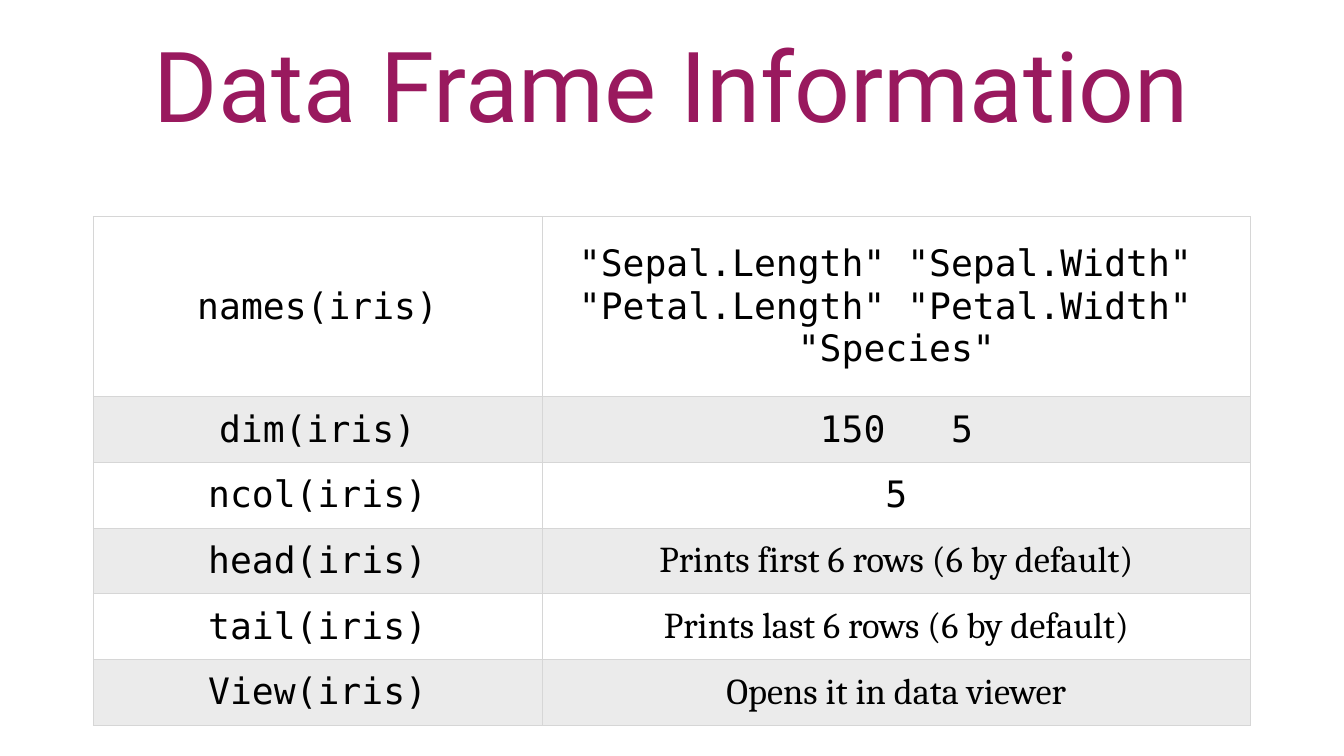
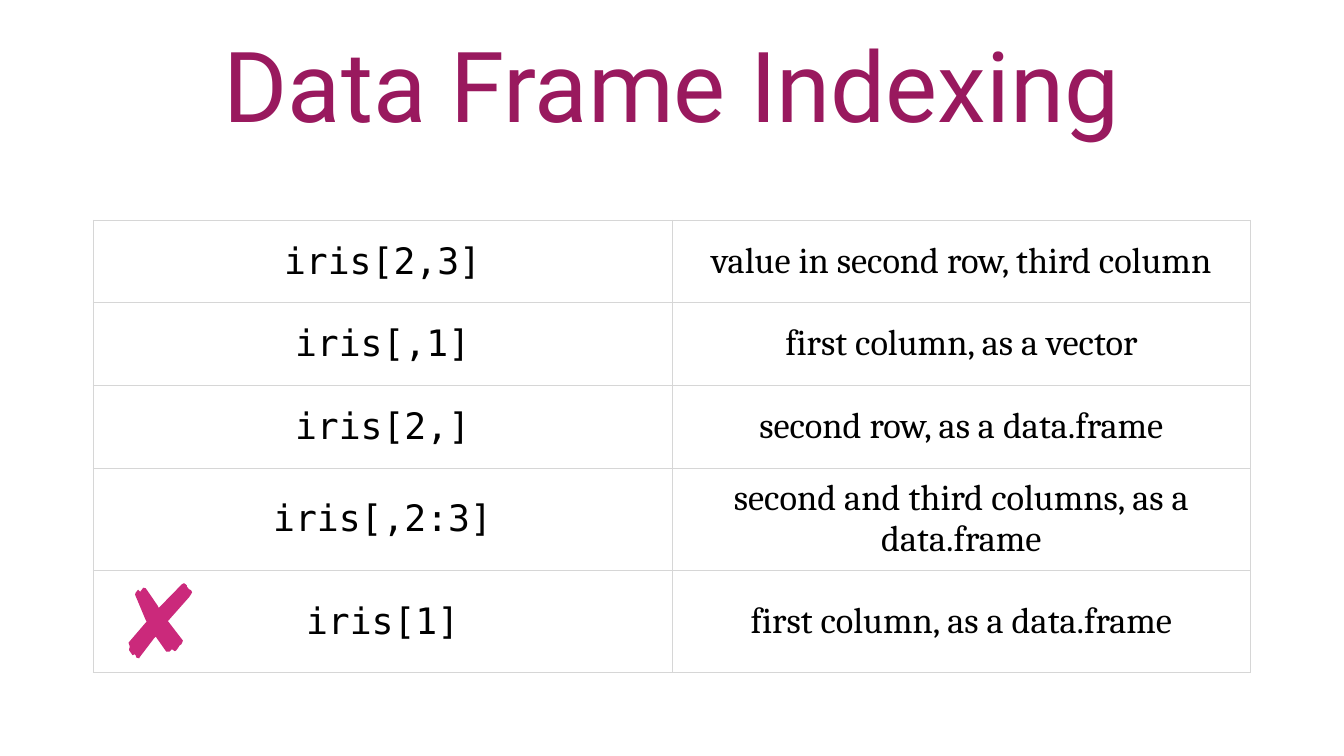
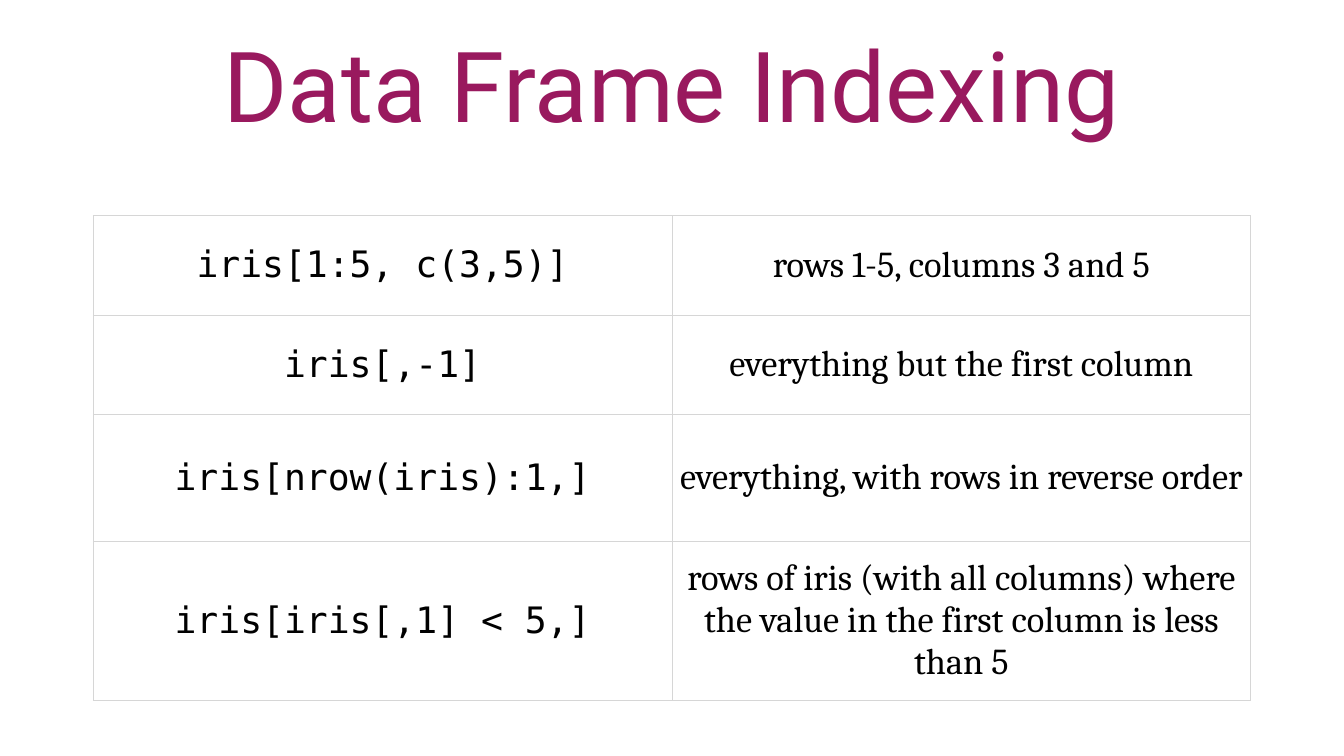
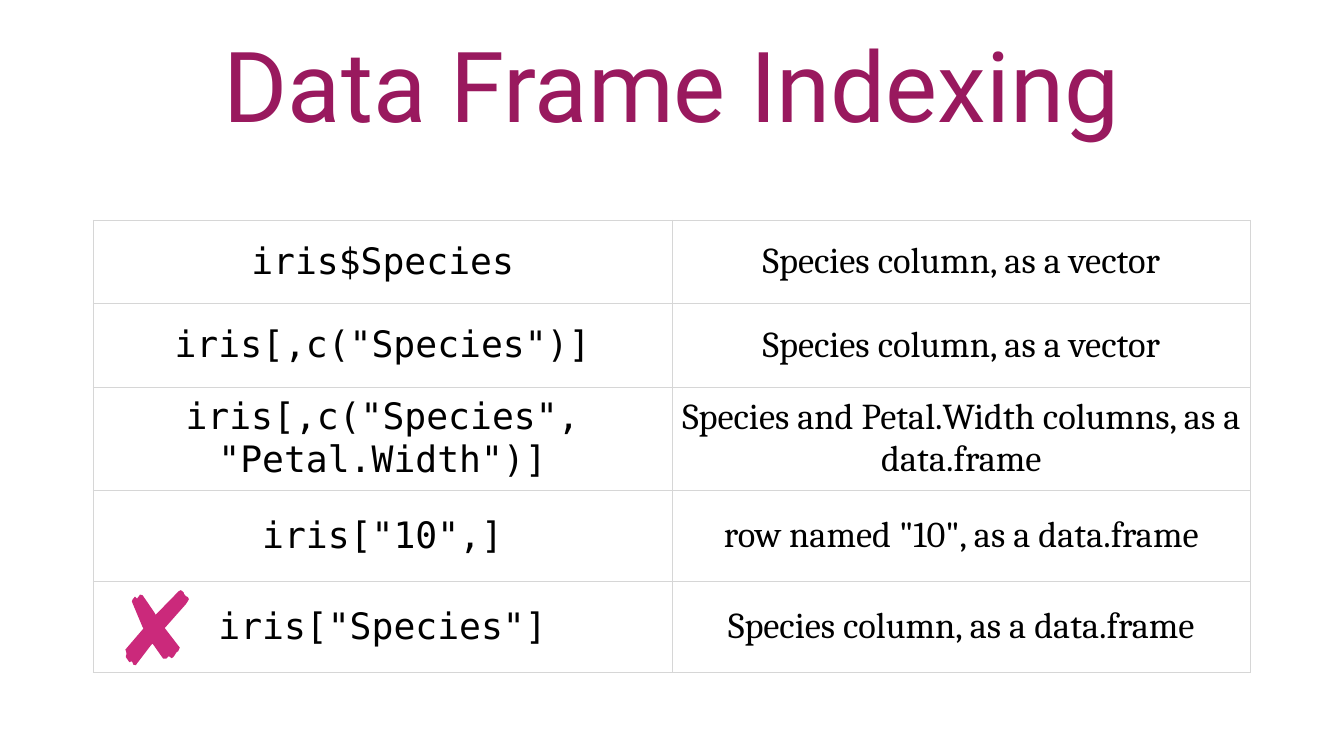
from lxml.etree import SubElement
from pptx import Presentation
from pptx.dml.color import RGBColor
from pptx.enum.text import MSO_ANCHOR as Anchor, MSO_AUTO_SIZE as AutoSize, PP_ALIGN as Align
from pptx.oxml.ns import qn
from pptx.util import Cm, Pt

TITLE_COLOR, TEXT_COLOR = "99195E", "000000"
BAND_COLOR, BORDER_COLOR, CROSS_COLOR = "EBEBEB", "D6D6D6", "CB297B"
TITLE_FONT, CODE_FONT, PROSE_FONT = "Roboto", "DejaVu Sans Mono", "Cambria"
LEFT, WIDTH = 4.7, 58.34
INSET = Cm(0.14)
EVEN_COLUMNS = (WIDTH / 2, WIDTH / 2)
CROSS_UNIT = Cm(2.54) / 100
CROSS_OUTLINE = [
    (110, 0), (106, 2), (63, 46), (60, 49), (58, 45), (41, 20), (34, 10), (29, 9),
    (27, 12), (23, 17), (19, 13), (14, 19), (13, 23), (34, 73), (36, 76), (0, 118),
    (2, 124), (2, 128), (1, 131), (1, 133), (8, 143), (12, 141), (14, 143), (16, 148),
    (21, 149), (22, 147), (51, 109), (54, 106), (56, 109), (75, 136), (81, 136), (86, 131),
    (92, 135), (95, 133), (98, 129), (101, 124), (105, 121), (108, 114), (78, 75), (81, 72),
    (120, 28), (124, 22), (126, 18), (124, 14), (120, 12), (116, 7), (116, 5), (113, 2),
]

INFORMATION_ROWS = [
    (9.07, "names(iris)",
     '"Sepal.Length" "Sepal.Width"  "Petal.Length" "Petal.Width"  "Species"'),
    (3.31, "dim(iris)", "150   5"),
    (3.31, "ncol(iris)", "5"),
    (3.31, "head(iris)", "Prints first 6 rows (6 by default)"),
    (3.31, "tail(iris)", "Prints last 6 rows (6 by default)"),
    (3.31, "View(iris)", "Opens it in data viewer"),
]
POSITION_ROWS = [
    (4.16, "iris[2,3]", "value in second row, third column"),
    (4.16, "iris[,1]", "first column, as a vector"),
    (4.16, "iris[2,]", "second row, as a data.frame"),
    (5.16, "iris[,2:3]", "second and third columns, as a data.frame"),
    (5.16, "iris[1]", "first column, as a data.frame"),
]
SELECTION_ROWS = [
    (5, "iris[1:5, c(3,5)]", "rows 1-5, columns 3 and 5"),
    (5, "iris[,-1]", "everything but the first column"),
    (6.4, "iris[nrow(iris):1,]", "everything, with rows in reverse order"),
    (8.03, "iris[iris[,1] < 5,]",
     "rows of iris (with all columns) where the value in the first column is less than 5"),
]
NAME_ROWS = [
    (4.2, "iris$Species", "Species column, as a vector"),
    (4.2, 'iris[,c("Species")]', "Species column, as a vector"),
    (5.2, 'iris[,c("Species", "Petal.Width")]',
     "Species and Petal.Width columns, as a data.frame"),
    (4.6, 'iris["10",]', 'row named "10", as a data.frame'),
    (4.6, 'iris["Species"]', "Species column, as a data.frame"),
]


def color(hex_string):
    """Turn a hex string into a colour."""
    return RGBColor.from_string(hex_string)


def write_text(text_frame, text, font=PROSE_FONT, size=52, fill=TEXT_COLOR):
    """Write one centred paragraph in the given format."""
    paragraph = text_frame.paragraphs[0]
    paragraph.alignment = Align.CENTER
    run = paragraph.add_run()
    run.text = text
    run.font.name = font
    run.font.size = Pt(size)
    run.font.color.rgb = color(fill)


def set_insets(box):
    """Give a text frame or a cell the shared margins."""
    box.margin_left = box.margin_right = box.margin_top = box.margin_bottom = INSET


def add_titled_slide(presentation, title_text):
    """Add a slide with the shared title style."""
    slide = presentation.slides.add_slide(presentation.slide_layouts[5])
    title = slide.shapes.title
    title.left, title.top, title.width, title.height = Cm(LEFT), Cm(1), Cm(WIDTH), Cm(6.35)
    text_frame = title.text_frame
    text_frame.auto_size = AutoSize.NONE
    text_frame.word_wrap = True
    text_frame.vertical_anchor = Anchor.MIDDLE
    set_insets(text_frame)
    write_text(text_frame, title_text, font=TITLE_FONT, size=140, fill=TITLE_COLOR)
    return slide


def add_borders(cell):
    """Draw a thin line on every side of a cell."""
    properties = cell._tc.get_or_add_tcPr()
    for position, side in enumerate(("a:lnL", "a:lnR", "a:lnT", "a:lnB")):
        line = SubElement(properties, qn(side), w=str(Pt(1)))
        solid = SubElement(line, qn("a:solidFill"))
        SubElement(solid, qn("a:srgbClr"), val=BORDER_COLOR)
        properties.insert(position, line)


def format_cell(cell, text, font, banded):
    """Fill in one table cell."""
    cell.vertical_anchor = Anchor.MIDDLE
    set_insets(cell)
    if banded:
        cell.fill.solid()
        cell.fill.fore_color.rgb = color(BAND_COLOR)
    else:
        cell.fill.background()
    add_borders(cell)
    write_text(cell.text_frame, text, font=font)


def add_code_table(slide, top, rows, columns=EVEN_COLUMNS, output_rows=0, banded=False):
    """Add a table of code and meaning, with code output in the first output_rows."""
    height = sum(row[0] for row in rows)
    frame = slide.shapes.add_table(len(rows), 2, Cm(LEFT), Cm(top), Cm(WIDTH), Cm(height))
    table = frame.table
    table.first_row = table.horz_banding = False
    for column, width in zip(table.columns, columns):
        column.width = Cm(width)
    for index, (row_height, code, meaning) in enumerate(rows):
        table.rows[index].height = Cm(row_height)
        shaded = banded and index % 2 == 1
        meaning_font = CODE_FONT if index < output_rows else PROSE_FONT
        format_cell(table.cell(index, 0), code, CODE_FONT, shaded)
        format_cell(table.cell(index, 1), meaning, meaning_font, shaded)


def add_cross(slide, left, top):
    """Add the brushed cross that marks a row."""
    builder = slide.shapes.build_freeform(*CROSS_OUTLINE[0], scale=CROSS_UNIT)
    builder.add_line_segments(CROSS_OUTLINE[1:], close=True)
    cross = builder.convert_to_shape(Cm(left), Cm(top))
    cross.shadow.inherit = False
    cross.fill.solid()
    cross.fill.fore_color.rgb = color(CROSS_COLOR)
    cross.line.fill.background()


def main():
    """Build the slides and save them."""
    presentation = Presentation()
    presentation.slide_width, presentation.slide_height = Cm(67.74), Cm(38.1)

    slide = add_titled_slide(presentation, "Data Frame Information")
    add_code_table(slide, 10.92, INFORMATION_ROWS, columns=(22.62, 35.72),
                   output_rows=3, banded=True)

    slide = add_titled_slide(presentation, "Data Frame Indexing")
    add_code_table(slide, 11.1, POSITION_ROWS)
    add_cross(slide, 6.48, 29.39)

    slide = add_titled_slide(presentation, "Data Frame Indexing")
    add_code_table(slide, 10.87, SELECTION_ROWS)

    slide = add_titled_slide(presentation, "Data Frame Indexing")
    add_code_table(slide, 11.1, NAME_ROWS)
    add_cross(slide, 6.32, 29.74)

    presentation.save("out.pptx")


if __name__ == "__main__":
    main()
